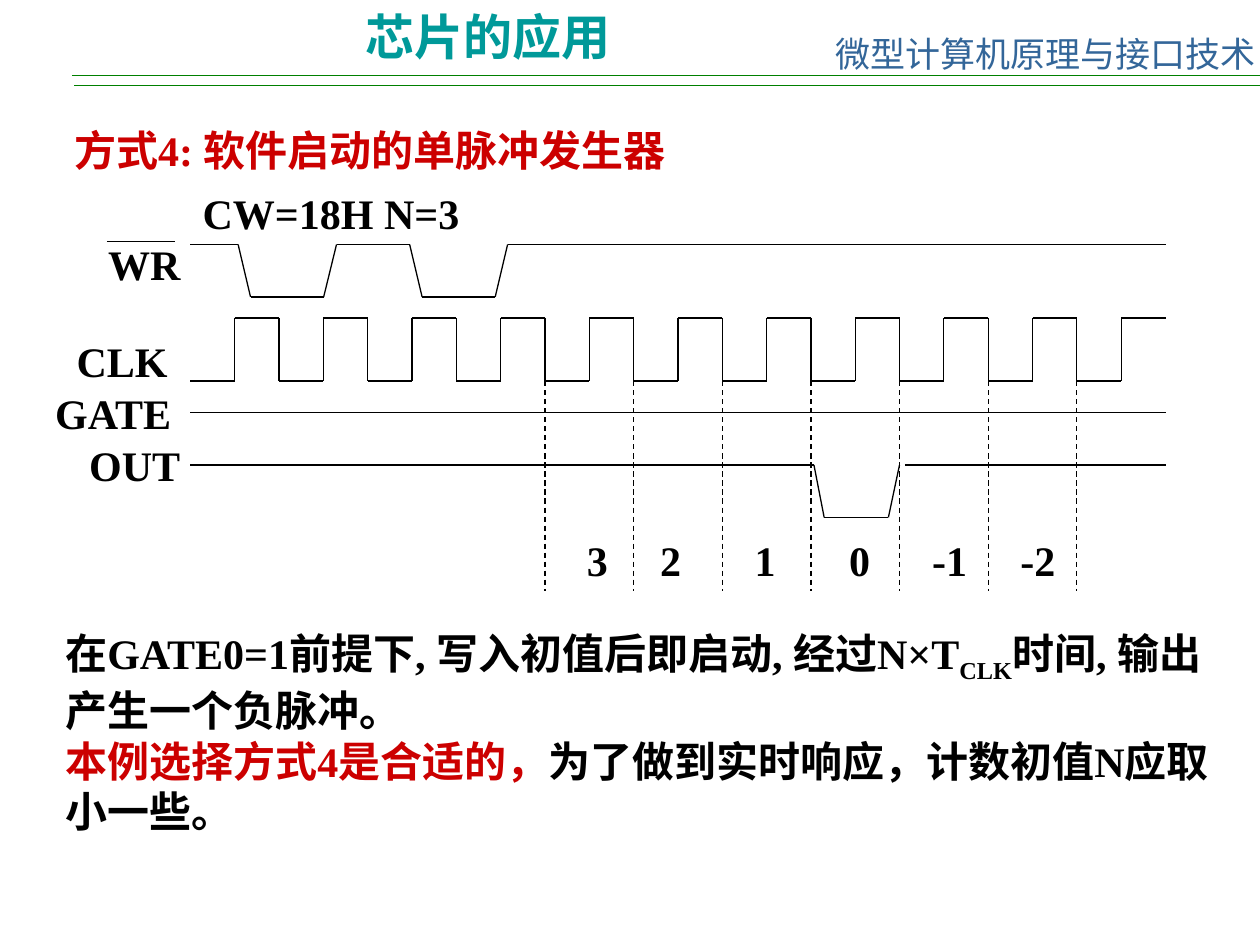
import pptx
import pptx.dml.color
import pptx.enum.dml
import pptx.enum.shapes
import pptx.enum.text
import pptx.oxml
import pptx.oxml.ns
import pptx.util
from lxml import etree

CJK = "Noto Sans CJK SC"
LATIN = "Times New Roman"
BLACK, RED, TEAL, BLUE, GREEN = "000000", "CC0000", "009999", "336699", "008000"
WIDTH, HEIGHT = 10, 7.5

presentation = pptx.Presentation()
presentation.slide_width = pptx.util.Inches(WIDTH)
presentation.slide_height = pptx.util.Inches(HEIGHT)
slide = presentation.slides.add_slide(presentation.slide_layouts[5])

# Timing grid: 22 half clock cycles across, rows of 1/18 slide height
LEFT, RIGHT, TOP = 1.51, 9.25, 1.94
HALVES = 22
half = (RIGHT - LEFT) / HALVES
row = HEIGHT / 18


def trace(points, colour=BLACK, dashed=False):
    """Join grid points (half cycle, row) with straight lines."""
    places = [(pptx.util.Inches(LEFT + column * half), pptx.util.Inches(TOP + level * row))
              for column, level in points]
    for start, end in zip(places, places[1:]):
        segment = slide.shapes.add_connector(
            pptx.enum.shapes.MSO_CONNECTOR.STRAIGHT, *start, *end)
        segment.line.width = pptx.util.Pt(0.75)
        segment.line.color.rgb = pptx.dml.color.RGBColor.from_string(colour)
        if dashed:
            segment.line.dash_style = pptx.enum.dml.MSO_LINE.DASH
        etree.SubElement(segment._element.spPr, pptx.oxml.ns.qn("a:effectLst"))


def write(shape, paragraphs, size=24, latin=LATIN, bold=True, wrap=False, align="LEFT"):
    """Fill a shape with paragraphs of (text, colour, baseline) runs."""
    frame = shape.text_frame
    layout = {"word_wrap": wrap, "auto_size": pptx.enum.text.MSO_AUTO_SIZE.NONE,
              "vertical_anchor": pptx.enum.text.MSO_ANCHOR.TOP}
    for name, value in layout.items():
        setattr(frame, name, value)
    for index, runs in enumerate(paragraphs):
        paragraph = frame.add_paragraph() if index else frame.paragraphs[0]
        paragraph.alignment = getattr(pptx.enum.text.PP_ALIGN, align)
        for text, colour, baseline in runs:
            run = paragraph.add_run()
            run.text = text
            style = {"size": pptx.util.Pt(size), "name": latin, "bold": bold}
            for name, value in style.items():
                setattr(run.font, name, value)
            run.font.color.rgb = pptx.dml.color.RGBColor.from_string(colour)
            properties = run.font._element
            etree.SubElement(properties, pptx.oxml.ns.qn("a:ea"), typeface=CJK)
            if baseline:
                properties.set("baseline", str(baseline * 1000))


# Header: title, course name and double rule
title = slide.shapes.title
place = {"left": 0.28 * WIDTH, "top": 0, "width": 0.25 * WIDTH, "height": 0.08 * HEIGHT}
for name, value in place.items():
    setattr(title, name, pptx.util.Inches(value))
write(title, [[("芯片的应用", TEAL, 0)]], size=28, latin=CJK, wrap=True)

course = slide.shapes.add_textbox(
    *map(pptx.util.Inches, (0.69 * WIDTH, 0.21, 0.28 * WIDTH, 0.28)))
write(course, [[("微型计算机原理与接口技术", BLUE, 0)]],
      size=20, latin=CJK, bold=False, align="CENTER")

for start, height in ((0.57, 0.6), (0.59, 0.68)):
    level = (height - TOP) / row
    trace([((start - LEFT) / half, level), ((WIDTH - LEFT) / half, level)], GREEN)

# WR: two write pulses, with the bar over its name
trace([(0, 0), (1.08, 0), (1.36, 1), (3.01, 1), (3.3, 0), (4.95, 0),
       (5.23, 1), (6.88, 1), (7.16, 0), (HALVES, 0)])
trace([(-1.88, -0.05), (-0.34, -0.05)])

# CLK: low and high halves alternate
HIGH, LOW = 1.4, 2.6
clock = []
for column in range(HALVES):
    level = HIGH if column % 2 else LOW
    clock += [(column, level), (column + 1, level)]
trace(clock)

# GATE stays high, OUT gives one negative pulse
trace([(0, 3.2), (HALVES, 3.2)])
trace([(0, 4.2), (14.07, 4.2), (14.3, 5.2), (15.75, 5.2), (16, 4.2)])
trace([(16.12, 4.2), (HALVES, 4.2)])

# Falling clock edges
for column in range(8, 21, 2):
    trace([(column, HIGH), (column, 6.6)], dashed=True)

# Signal names and section heading
labels = [
    ("方式4: 软件启动的单脉冲发生器", RED, 0.49, 0.94, 5.13),
    ("CW=18H N=3", BLACK, 1.51, 1.44, 2.24),
    ("WR", BLACK, 0.76, 1.84, 0.77),
    ("CLK", BLACK, 0.51, 2.61, 0.92),
    ("GATE", BLACK, 0.34, 3.03, 1.14),
    ("OUT", BLACK, 0.61, 3.44, 0.92),
]
for text, colour, left, top, width in labels:
    label = slide.shapes.add_textbox(*map(pptx.util.Inches, (left, top, width, HEIGHT / 15)))
    write(label, [[(text, colour, 0)]])

# Counter values, set on tab stops
counter = slide.shapes.add_textbox(*map(pptx.util.Inches, (4.56, 4.19, 4.69, HEIGHT / 15)))
stops = etree.SubElement(counter.text_frame.paragraphs[0]._p.get_or_add_pPr(),
                         pptx.oxml.ns.qn("a:tabLst"))
for stop in (0.58, 1.33, 2.08, 2.74, 3.44):
    etree.SubElement(stops, pptx.oxml.ns.qn("a:tab"),
                     pos=str(pptx.util.Inches(stop)), algn="l")
write(counter, [[("3\t2\t1\t0\t-1\t-2", BLACK, 0)]], wrap=True)

# Explanation
explanation = slide.shapes.add_textbox(*map(pptx.util.Inches, (0.42, 4.93, 9.5, 1.76)))
write(explanation, [
    [("在GATE0=1前提下, 写入初值后即启动, 经过N×T", BLACK, 0), ("CLK", BLACK, -25),
     ("时间, 输出产生一个负脉冲。", BLACK, 0)],
    [("本例选择方式4是合适的，", RED, 0),
     ("为了做到实时响应，计数初值N应取小一些。", BLACK, 0)],
], wrap=True)

presentation.save("out.pptx")
